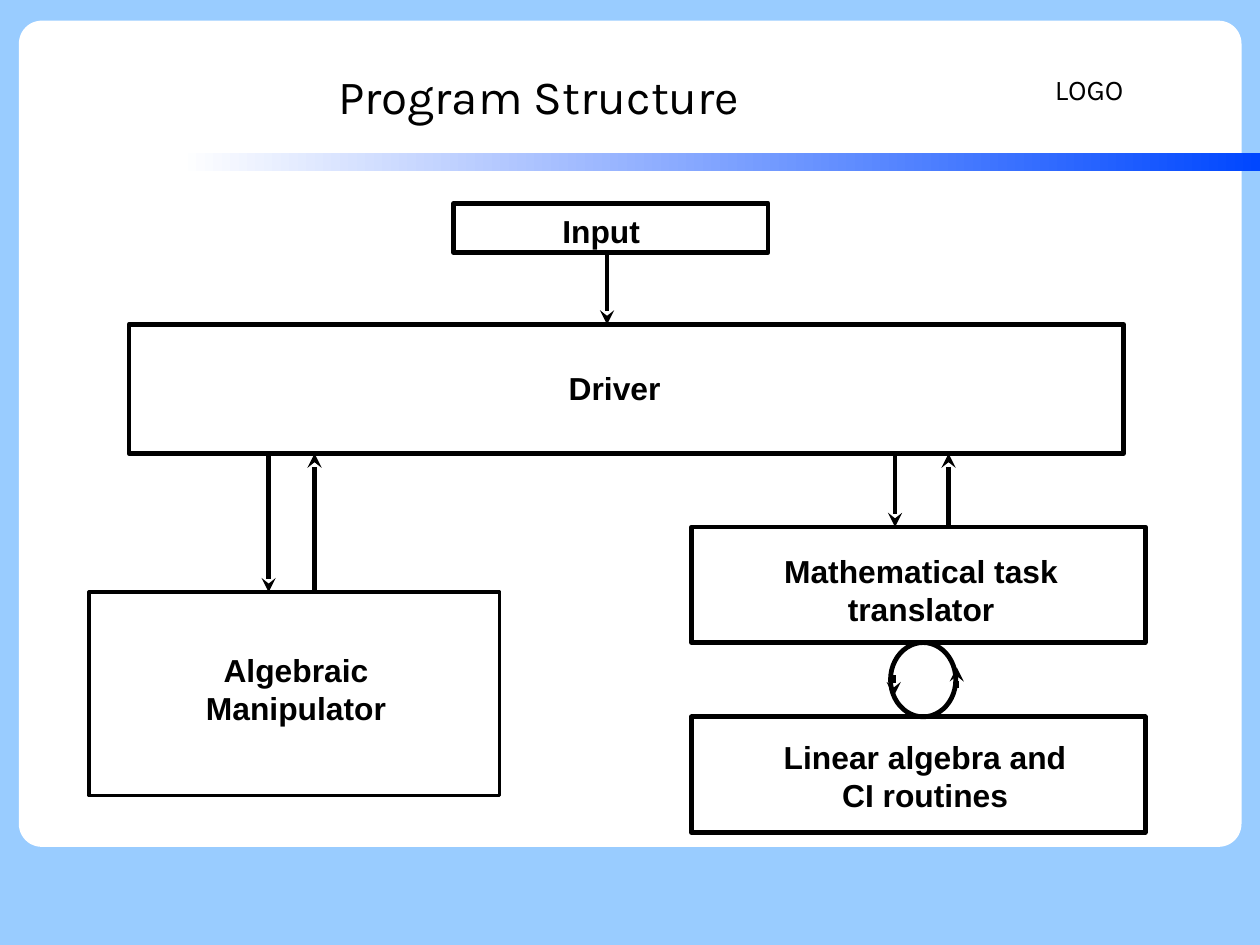
from pptx import Presentation
from pptx.dml.color import RGBColor
from pptx.enum import shapes, text
from pptx.oxml import ns
from pptx.util import Cm, Pt
from lxml import etree

SKY = RGBColor(0x99, 0xCC, 0xFF)
BLUE = RGBColor(0x00, 0x47, 0xFF)
WHITE = RGBColor(0xFF, 0xFF, 0xFF)
BLACK = RGBColor(0, 0, 0)

# Content, all lengths in cm
SLIDE = (28, 21)
PANEL = (0.42, 0.46, 27.17, 18.36)
CORNER = 0.51
BAR = (3.99, 3.4, 24.01, 0.41)
TITLE = ("Program Structure", (1.4, 0.84, 21.16, 2.57))
LOGO = ("LOGO", (23.19, 0.79, 4.39, 2.39))
BOXES = {  # left, top, width, height, line width in pt
    "input": (10.08, 4.52, 6.99, 1.09, 3),
    "driver": (2.87, 7.21, 22.1, 2.87, 3),
    "algebra": (1.98, 13.16, 9.12, 4.52, 2.3),
    "translator": (15.37, 11.71, 10.08, 2.57, 3),
    "linear": (15.37, 15.93, 10.08, 2.57, 3),
}
LABELS = [  # text, centre x, top, width, height
    ("Input", 13.36, 4.57, 2.74, 1.04),
    ("Driver", 13.66, 8.08, 2.74, 1.04),
    ("Algebraic\vManipulator", 6.58, 14.33, 4.9, 1.98),
    ("Mathematical task\vtranslator", 20.47, 12.14, 7.21, 1.83),
    ("Linear algebra and\vCI routines", 20.56, 16.26, 7.21, 1.83),
]
ARROWS = [  # x, from box, to box
    (13.49, "input", "driver"),
    (5.97, "driver", "algebra"),
    (6.99, "algebra", "driver"),
    (19.89, "driver", "translator"),
    (21.08, "translator", "driver"),
]
LOOP_LEFT, LOOP_WIDTH = 19.79, 1.45
LOOP_ARROWS = [(21.26, 15.29, 14.83), (19.86, 15.01, 15.47)]  # x, from y, to y

prs = Presentation()
prs.slide_width, prs.slide_height = map(Cm, SLIDE)
s = prs.slides.add_slide(prs.slide_layouts[6])
s.background.fill.solid()
s.background.fill.fore_color.rgb = SKY


def add_shape(kind, bounds, line_pt=None):
    sp = s.shapes.add_shape(kind, *map(Cm, bounds))
    sp.shadow.inherit = False
    if line_pt:
        sp.fill.background()
        sp.line.color.rgb = BLACK
        sp.line.width = Pt(line_pt)
    else:
        sp.line.fill.background()
    return sp


def add_text(words, bounds, size, font, align, bold=False, middle=False):
    tf = s.shapes.add_textbox(*map(Cm, bounds)).text_frame
    tf.word_wrap = True
    if middle:
        tf.vertical_anchor = text.MSO_ANCHOR.MIDDLE
    tf.text = words
    p = tf.paragraphs[0]
    p.alignment = align
    for r in p.runs:
        r.font.name, r.font.size, r.font.bold = font, Pt(size), bold
        r.font.color.rgb = BLACK


def add_arrow(x, start, end):
    c = s.shapes.add_connector(shapes.MSO_CONNECTOR.STRAIGHT,
                               Cm(x), Cm(start), Cm(x), Cm(end))
    c.line.color.rgb = BLACK
    c.line.width = Pt(3)
    etree.SubElement(c.line._get_or_add_ln(), ns.qn("a:tailEnd"), type="stealth")
    etree.SubElement(c._element.spPr, ns.qn("a:effectLst"))


# Panel, gradient bar and heading
panel = add_shape(shapes.MSO_SHAPE.ROUNDED_RECTANGLE, PANEL)
panel.adjustments[0] = CORNER / PANEL[3]
panel.fill.solid()
panel.fill.fore_color.rgb = WHITE
bar = add_shape(shapes.MSO_SHAPE.RECTANGLE, BAR)
bar.fill.gradient()
bar.fill.gradient_angle = 0
for stop, color in zip(bar.fill.gradient_stops, (WHITE, BLUE)):
    stop.color.rgb = color
add_text(*LOGO, 18, "Karla", text.PP_ALIGN.LEFT, middle=True)
add_text(*TITLE, 30, "Karla", text.PP_ALIGN.CENTER, middle=True)

# Boxes and their labels
for *bounds, line_pt in BOXES.values():
    add_shape(shapes.MSO_SHAPE.RECTANGLE, bounds, line_pt)
for words, center, top, width, height in LABELS:
    add_text(words, (center - width / 2, top, width, height),
             20, "Arial", text.PP_ALIGN.CENTER, bold=True)

# Arrows between facing edges
edges = {name: (top, top + height) for name, (_, top, _, height, _) in BOXES.items()}
for x, source, target in ARROWS:
    down = edges[source][0] < edges[target][0]
    add_arrow(x, edges[source][down], edges[target][not down])

# Loop between translator and linear algebra
loop_top, loop_bottom = edges["translator"][1], edges["linear"][0]
add_shape(shapes.MSO_SHAPE.OVAL,
          (LOOP_LEFT, loop_top, LOOP_WIDTH, loop_bottom - loop_top), 3)
for arrow in LOOP_ARROWS:
    add_arrow(*arrow)

prs.save("out.pptx")
